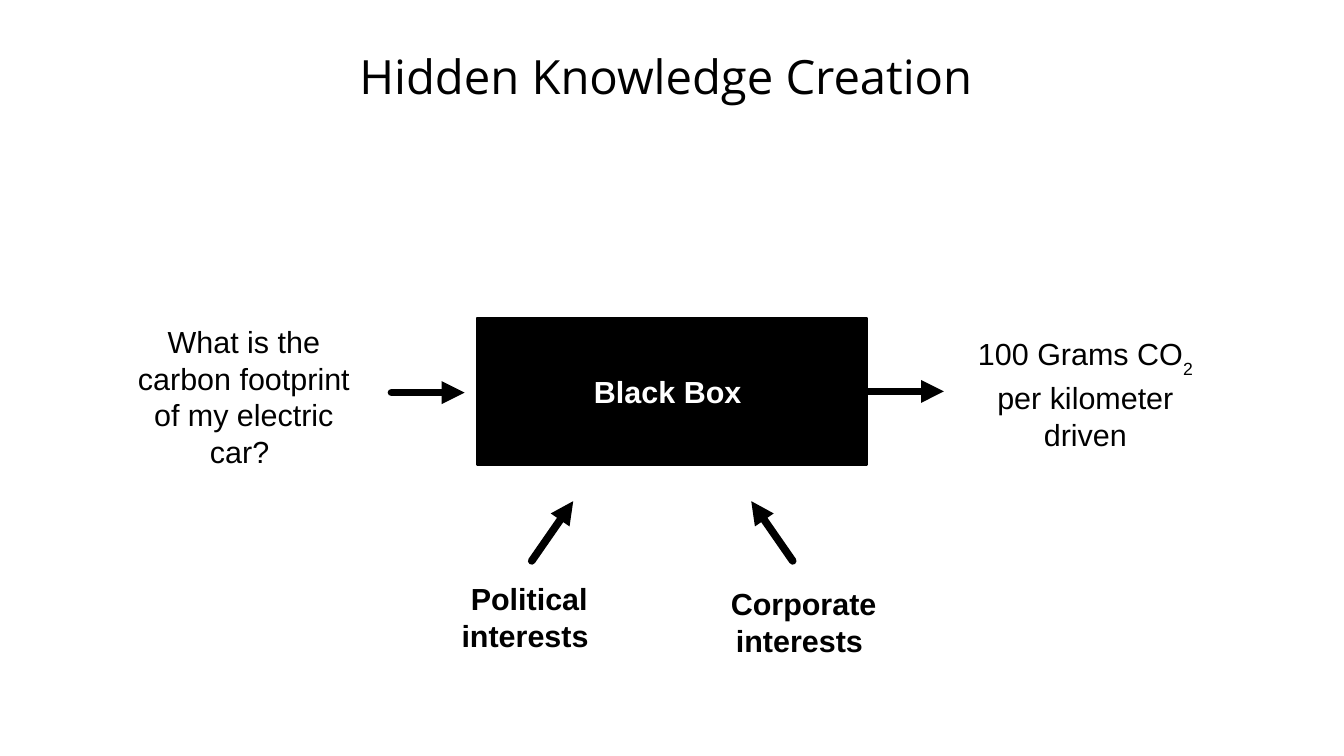
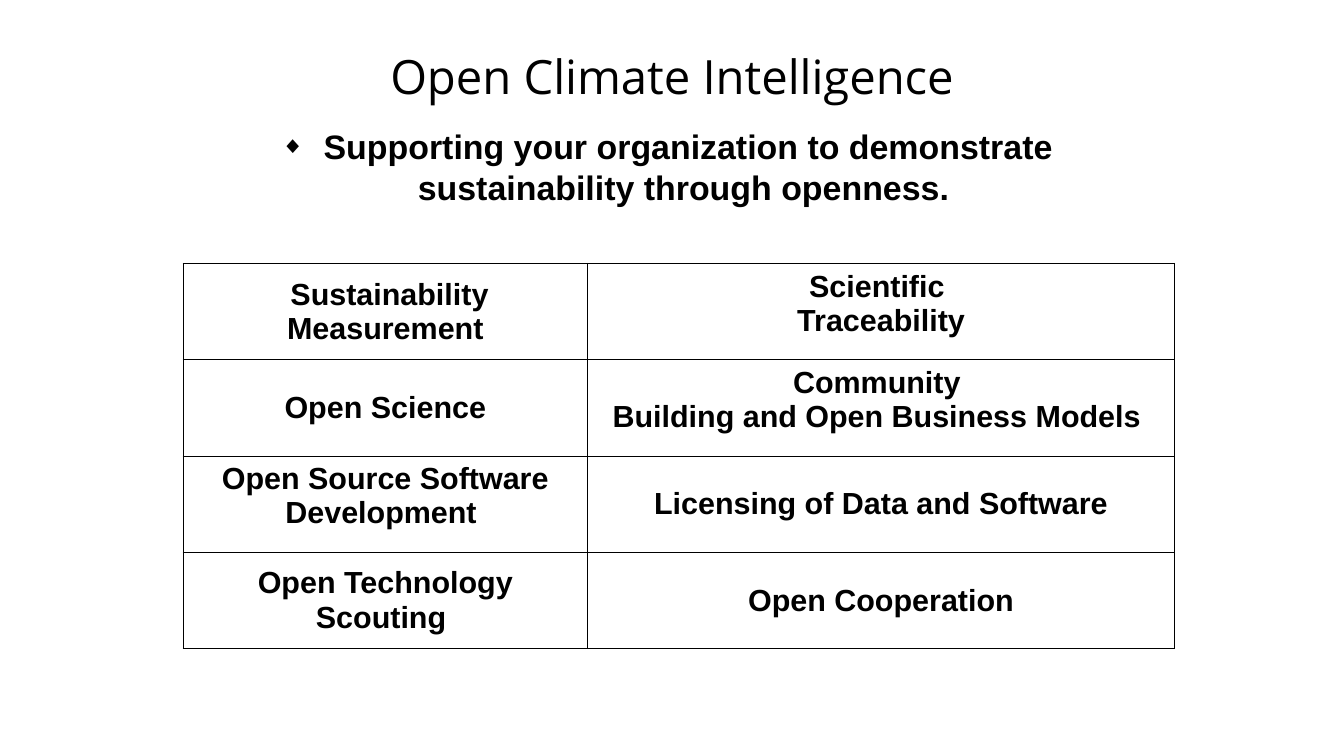
"""Build two slides: the black box of hidden knowledge and open climate intelligence."""
import pptx
import pptx.dml.color
import pptx.enum.shapes
import pptx.enum.text
import pptx.oxml
import pptx.oxml.ns
import pptx.util

PX = 9144
COLORS = {"ink": "000000", "paper": "FFFFFF"}
ALIGN = pptx.enum.text.PP_ALIGN
ANCHOR = pptx.enum.text.MSO_ANCHOR
TITLE_FONT = {"name": "Open Sans", "size": pptx.util.Pt(27.9), "bold": False}
TEXT_FONT = {"name": "Arial", "size": pptx.util.Pt(18), "bold": False}
STRONG_FONT = {**TEXT_FONT, "bold": True}
LEAD_FONT = {**STRONG_FONT, "size": pptx.util.Pt(20)}
FRAME = {"margin_left": 10 * PX, "margin_right": 10 * PX,
         "margin_top": 5 * PX, "margin_bottom": 5 * PX,
         "word_wrap": True, "vertical_anchor": ANCHOR.TOP,
         "auto_size": pptx.enum.text.MSO_AUTO_SIZE.NONE}
TITLE_FRAME = {**FRAME, "margin_left": 0, "margin_right": 0, "margin_top": 0,
               "margin_bottom": 0, "vertical_anchor": ANCHOR.MIDDLE}
BOX_FRAME = {**FRAME, "word_wrap": False, "vertical_anchor": ANCHOR.MIDDLE}
TITLE_AREA = (55, 25, 992, 74)


def px(*lengths):
    """Turn lengths in px into EMU."""
    return [pptx.util.Emu(length * PX) for length in lengths]


def rgb(color):
    """Look up a named colour."""
    return pptx.dml.color.RGBColor.from_string(COLORS[color])


def apply(target, values):
    """Set each attribute of a format dict on the target."""
    for name, value in values.items():
        setattr(target, name, value)


def append_xml(parent, xml):
    """Append a drawing element, written without its namespace, to the parent."""
    tag, rest = xml[1:].split(" ", 1)
    namespace = pptx.oxml.ns.nsdecls("a")
    parent.append(pptx.oxml.parse_xml(f"<a:{tag} {namespace} {rest}"))


def place(shape, area):
    """Move and size a shape."""
    apply(shape, dict(zip(("left", "top", "width", "height"), px(*area))))


def write_runs(paragraph, texts, font, color="ink"):
    """Write centred runs; every second run is a subscript."""
    paragraph.alignment = ALIGN.CENTER
    for index, text in enumerate(texts):
        run = paragraph.add_run()
        run.text = text
        apply(run.font, font)
        run.font.color.rgb = rgb(color)
        if index % 2:
            run.font._element.set("baseline", "-33000")


def add_slide(presentation, layout, title):
    """Add a white slide with the shared title style."""
    slide = presentation.slides.add_slide(presentation.slide_layouts[layout])
    slide.background.fill.solid()
    slide.background.fill.fore_color.rgb = rgb("paper")
    place(slide.shapes.title, TITLE_AREA)
    frame = slide.shapes.title.text_frame
    apply(frame, TITLE_FRAME)
    write_runs(frame.paragraphs[0], [title], TITLE_FONT)
    return slide


def add_label(slide, area, texts, font):
    """Add a centred text box."""
    label = slide.shapes.add_textbox(*px(*area))
    apply(label.text_frame, FRAME)
    write_runs(label.text_frame.paragraphs[0], texts, font)


def add_box(slide, area, text):
    """Add a black rectangle with white text."""
    box = slide.shapes.add_shape(pptx.enum.shapes.MSO_SHAPE.RECTANGLE, *px(*area))
    box.shadow.inherit = False
    box.fill.solid()
    box.fill.fore_color.rgb = rgb("ink")
    box.line.color.rgb = rgb("ink")
    box.line.width = pptx.util.Pt(1.45)
    apply(box.text_frame, BOX_FRAME)
    write_runs(box.text_frame.paragraphs[0], [text], STRONG_FONT, "paper")
    return box


def add_arrow(slide, start, end):
    """Add a thick round-capped arrow."""
    arrow = slide.shapes.add_connector(
        pptx.enum.shapes.MSO_CONNECTOR.STRAIGHT, *px(*start, *end))
    arrow.line.color.rgb = rgb("ink")
    arrow.line.width = pptx.util.Pt(4.5)
    line = arrow.line._get_or_add_ln()
    line.set("cap", "rnd")
    append_xml(line, '<tailEnd type="triangle"/>')
    append_xml(arrow._element.spPr, "<effectLst />")
    return arrow


def fill_lead(body, area, text):
    """Write the bulleted lead sentence into the body placeholder."""
    place(body, area)
    apply(body.text_frame, FRAME)
    paragraph = body.text_frame.paragraphs[0]
    properties = paragraph._p.get_or_add_pPr()
    for name, length in (("marL", 47), ("indent", -35)):
        properties.set(name, str(length * PX))
    for xml in (f'<buClr ><a:srgbClr val="{COLORS["ink"]}"/></a:buClr>',
                '<buSzPct val="70000"/>', '<buChar char="◆"/>'):
        append_xml(properties, xml)
    paragraph.space_before = pptx.util.Pt(0)
    write_runs(paragraph, [text], LEAD_FONT)


def fill_cell(cell, lines, anchor):
    """Write a bordered, unfilled cell, one paragraph per line."""
    cell.vertical_anchor = anchor
    properties = cell._tc.get_or_add_tcPr()
    for side in "LRTB":
        append_xml(properties, f'<ln{side} w="{pptx.util.Pt(0.57)}"><a:solidFill>'
                   f'<a:srgbClr val="{COLORS["ink"]}"/></a:solidFill></a:ln{side}>')
    cell.fill.background()
    for index, line in enumerate(lines):
        frame = cell.text_frame
        paragraph = frame.add_paragraph() if index else frame.paragraphs[0]
        write_runs(paragraph, [line], STRONG_FONT)


def add_grid(slide, origin, widths, row_height, rows):
    """Add a table of (lines, anchor) cells."""
    table = slide.shapes.add_table(
        len(rows), len(widths),
        *px(*origin, sum(widths), row_height * len(rows))).table
    apply(table, {"first_row": False, "horz_banding": False})
    for column, width in zip(table.columns, px(*widths)):
        column.width = width
    for row, cells in zip(table.rows, rows):
        row.height = px(row_height)[0]
        for cell, (lines, anchor) in zip(row.cells, cells):
            fill_cell(cell, lines, anchor)


def build_black_box(presentation):
    """Build the slide on hidden knowledge creation."""
    slide = add_slide(presentation, 5, "Hidden Knowledge Creation ")
    box = add_box(slide, (391, 261, 320, 120), "Black Box ")
    for area, texts, font in (
            ((100, 260, 200, 122),
             ["What is the carbon footprint of my electric car? "], TEXT_FONT),
            ((790, 270, 200, 100),
             ["100 Grams CO", "2", " per kilometer driven"], TEXT_FONT),
            ((349, 471, 170, 66), ["Political interests "], STRONG_FONT),
            ((574, 475, 170, 66), ["Corporate interests "], STRONG_FONT)):
        add_label(slide, area, texts, font)
    for start, end in (((321, 322), (381, 322)),
                       ((436, 460), (470, 411)),
                       ((650, 460), (616, 411))):
        add_arrow(slide, start, end)
    add_arrow(slide, (711, 321), (774, 321)).begin_connect(box, 3)


def build_open_intelligence(presentation):
    """Build the slide on open climate intelligence."""
    slide = add_slide(presentation, 1, "Open Climate Intelligence")
    fill_lead(slide.placeholders[1], (130, 98, 822, 72),
              "Supporting your organization to demonstrate "
              "sustainability through openness. ")
    top, middle = ANCHOR.TOP, ANCHOR.MIDDLE
    add_grid(slide, (150, 216), (332, 481), 79, [
        [([" Sustainability Measurement"], middle),
         (["Scientific ", "Traceability"], top)],
        [(["Open Science"], middle),
         (["Community ", "Building and Open Business Models "], top)],
        [(["Open Source Software Development "], top),
         (["Licensing of Data and Software"], middle)],
        [(["Open Technology Scouting "], middle),
         (["Open Cooperation"], middle)],
    ])


def main():
    """Build and save the presentation."""
    presentation = pptx.Presentation()
    apply(presentation, dict(zip(("slide_width", "slide_height"), px(1102, 620))))
    build_black_box(presentation)
    build_open_intelligence(presentation)
    presentation.save("out.pptx")


if __name__ == "__main__":
    main()
